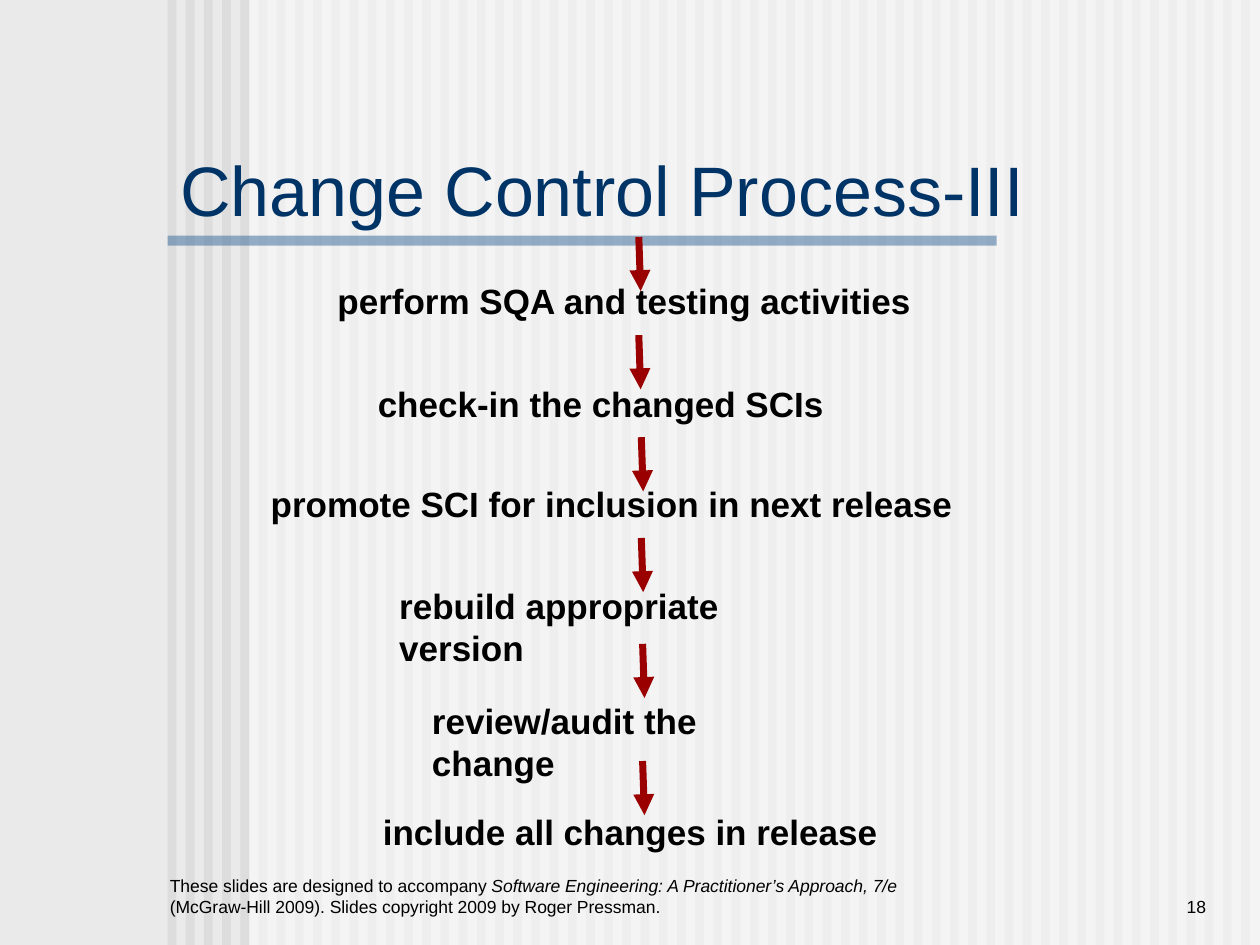
from lxml.etree import SubElement
from pptx import Presentation
from pptx.dml.color import RGBColor
from pptx.enum.shapes import MSO_CONNECTOR, MSO_SHAPE
from pptx.enum.text import MSO_ANCHOR, MSO_AUTO_SIZE, PP_ALIGN
from pptx.oxml.ns import qn
from pptx.util import Inches, Pt

COLORS = {
    "back": "EAEAEA",
    "stripe": "DDDDDD",
    "veil": "FFFFFF",
    "rule": "336699",
    "title": "003366",
    "text": "000000",
    "arrow": "9A0000",
}
STEPS = [
    ("perform SQA and testing activities", 2.58, 2.17, 4.76),
    ("check-in the changed SCIs", 2.9, 2.99, 3.74),
    ("promote SCI for inclusion in next release", 2.05, 3.78, 5.61),
    ("rebuild appropriate version", 3.07, 4.59, 3.8),
    ("review/audit the change", 3.33, 5.5, 3.35),
    ("include all changes in release", 2.94, 6.38, 4.13),
]
ARROWS = [(5.07, 1.88), (5.07, 2.66), (5.09, 3.47),
          (5.09, 4.27), (5.1, 5.11), (5.1, 6.04)]


def color(name):
    return RGBColor.from_string(COLORS[name])


def style(run, size, name="text", bold=False, italic=False):
    font = run.font
    font.name = "Arial"
    font.size = Pt(size)
    font.bold = bold
    font.italic = italic
    font.color.rgb = color(name)


def add_bar(slide, left, top, width, height, name, alpha=None):
    bar = slide.shapes.add_shape(
        MSO_SHAPE.RECTANGLE, Inches(left), Inches(top), Inches(width), Inches(height))
    bar.shadow.inherit = False
    bar.fill.solid()
    bar.fill.fore_color.rgb = color(name)
    bar.line.fill.background()
    if alpha:
        tint = bar.element.spPr.find(qn("a:solidFill"))[0]
        SubElement(tint, qn("a:alpha")).set("val", str(alpha * 1000))


def add_text(slide, left, top, width, height, parts, size, bold=False, wrap=True):
    box = slide.shapes.add_textbox(
        Inches(left), Inches(top), Inches(width), Inches(height))
    frame = box.text_frame
    frame.word_wrap = wrap
    for text, italic in parts:
        run = frame.paragraphs[0].add_run()
        run.text = text
        style(run, size, bold=bold, italic=italic)
    return frame


def add_arrow(slide, left, top, width, height):
    arrow = slide.shapes.add_connector(
        MSO_CONNECTOR.STRAIGHT, Inches(left), Inches(top),
        Inches(left + width), Inches(top + height))
    arrow.line.color.rgb = color("arrow")
    arrow.line.width = Pt(4)
    props = arrow.element.spPr
    SubElement(props.find(qn("a:ln")), qn("a:tailEnd")).set("type", "triangle")
    SubElement(props, qn("a:effectLst"))


def add_back(slide, left, top, width, height):
    slide.background.fill.solid()
    slide.background.fill.fore_color.rgb = color("back")
    count = 60
    pitch = (width - 0.15) / (count - 1)
    for i in range(count):
        add_bar(slide, left + i * pitch, top, 0.07, height, "stripe")
    add_bar(slide, left + 0.65, top, width - 0.65, height, "veil", 50)
    add_bar(slide, left, top + 1.87, 6.58, 0.08, "rule", 50)


def add_title(slide, left, top, width, height):
    title = slide.shapes.title
    title.left, title.top = Inches(left), Inches(top)
    title.width, title.height = Inches(width), Inches(height)
    frame = title.text_frame
    frame.text = "Change Control Process-III"
    frame.auto_size = MSO_AUTO_SIZE.NONE
    frame.vertical_anchor = MSO_ANCHOR.MIDDLE
    para = frame.paragraphs[0]
    para.alignment = PP_ALIGN.LEFT
    style(para.runs[0], 40, "title")
    slide.shapes.element.append(title.element)


def add_flow(slide):
    for left, top in ARROWS:
        add_arrow(slide, left, top, 0.015, 0.43)
    for text, left, top, width in STEPS:
        frame = add_text(slide, left, top, width, 0.43, [(text, False)], 20,
                         bold=True, wrap=False)
        frame.auto_size = MSO_AUTO_SIZE.SHAPE_TO_FIT_TEXT


def add_foot(slide, left, top, width, height):
    credit = [
        ("These slides are designed to accompany ", False),
        ("Software Engineering: A Practitioner’s Approach, 7/e ", True),
        ("(McGraw-Hill 2009). Slides copyright 2009 by Roger Pressman.", False),
    ]
    note = add_text(slide, left, top, 6, height, credit, 10)
    page = add_text(slide, left + width - 1.42, top, 1.42, height, [("18", False)], 10)
    page.paragraphs[0].alignment = PP_ALIGN.RIGHT
    for frame in (note, page):
        frame.vertical_anchor = MSO_ANCHOR.BOTTOM


def main():
    deck = Presentation()
    deck.slide_width, deck.slide_height = Inches(10), Inches(7.5)
    slide = deck.slides.add_slide(deck.slide_layouts[5])
    add_back(slide, 1.33, 0, 8.67, 7.5)
    add_foot(slide, 1.25, 6.83, 8.42, 0.5)
    add_title(slide, 1.33, 1.17, 7.08, 0.65)
    add_flow(slide)
    deck.save("out.pptx")


if __name__ == "__main__":
    main()
